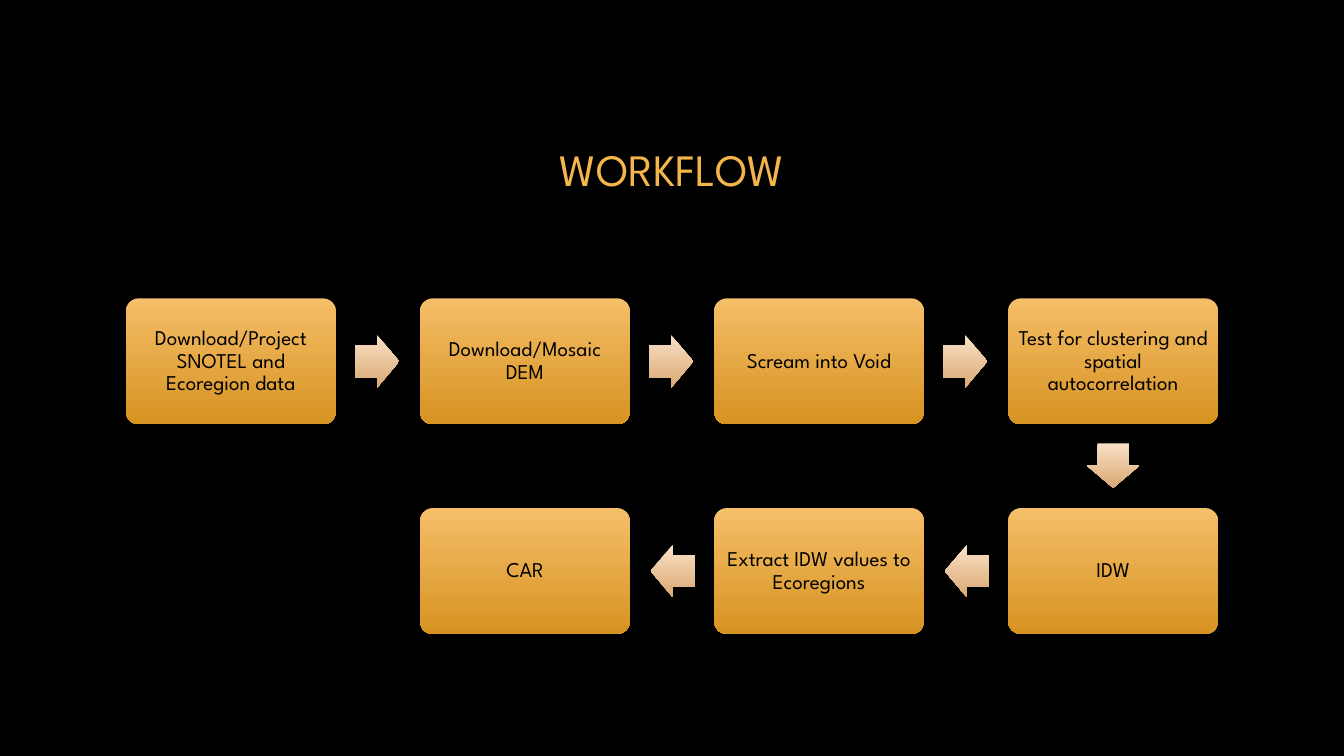
import pptx
import pptx.util
import pptx.dml.color
import pptx.enum.shapes
import pptx.enum.text

Inches = pptx.util.Inches
RGBColor = pptx.dml.color.RGBColor
Shapes = pptx.enum.shapes.MSO_SHAPE

FONT = "League Spartan"
BLACK = RGBColor(0x00, 0x00, 0x00)
GOLD = RGBColor(0xF4, 0xB5, 0x4B)
BOX_COLORS = RGBColor(0xF5, 0xBE, 0x69), RGBColor(0xD7, 0x93, 0x21)
ARROW_COLORS = RGBColor(0xFA, 0xE1, 0xC6), RGBColor(0xD9, 0xA8, 0x73)

BOX_WIDTH, BOX_HEIGHT = 2.08, 1.25
ARROW_WIDTH, ARROW_HEIGHT = 0.44, 0.52
ARROW_REACH = 0.41  # from the edge of a box to the middle of its arrow
LEFT, TOP = 1.25, 2.96
COLUMN_STEP, ROW_STEP = 8.75 / 3, 2.08

# Text, column, row, and direction (x, y) to the next step
STEPS = [
    ("Download/Project SNOTEL and Ecoregion data", 0, 0, (1, 0)),
    ("Download/Mosaic DEM", 1, 0, (1, 0)),
    ("Scream into Void", 2, 0, (1, 0)),
    ("Test for clustering and spatial autocorrelation", 3, 0, (0, 1)),
    ("IDW", 3, 1, (-1, 0)),
    ("Extract IDW values to Ecoregions", 2, 1, (-1, 0)),
    ("CAR", 1, 1, None),
]
ROTATIONS = {(1, 0): 0, (0, 1): 90, (-1, 0): 180}


def add_gradient_shape(kind, center_x, center_y, width, height, colors):
    shape = slide.shapes.add_shape(
        kind, Inches(center_x - width / 2), Inches(center_y - height / 2),
        Inches(width), Inches(height))
    shape.shadow.inherit = False
    shape.line.fill.background()
    shape.fill.gradient()
    shape.fill.gradient_angle = 270
    for stop, color in zip(shape.fill.gradient_stops, colors):
        stop.color.rgb = color
    # Keep the light end on top when the shape is turned
    shape._element.spPr.find(pptx.oxml.ns.qn("a:gradFill")).set("rotWithShape", "0")
    return shape


def format_text(frame, size, color):
    frame.word_wrap = True
    frame.vertical_anchor = pptx.enum.text.MSO_ANCHOR.MIDDLE
    para = frame.paragraphs[0]
    para.alignment = pptx.enum.text.PP_ALIGN.CENTER
    para.line_spacing = 0.9
    font = para.runs[0].font
    font.name = FONT
    font.size = pptx.util.Pt(size)
    font.color.rgb = color


# Deck and page
deck = pptx.Presentation()
deck.slide_width, deck.slide_height = Inches(13.33), Inches(7.5)
slide = deck.slides.add_slide(deck.slide_layouts.get_by_name("Title Only"))
slide.background.fill.solid()
slide.background.fill.fore_color.rgb = BLACK

# Title
title = slide.shapes.title
title.left, title.top = Inches(1.25), Inches(0.67)
title.width, title.height = Inches(10.83), Inches(2.08)
title.text_frame.text = "WORKFLOW"
format_text(title.text_frame, 32, GOLD)

# Steps, each followed by an arrow to the next one
for text, column, row, direction in STEPS:
    center_x = LEFT + column * COLUMN_STEP + BOX_WIDTH / 2
    center_y = TOP + row * ROW_STEP + BOX_HEIGHT / 2
    box = add_gradient_shape(Shapes.ROUNDED_RECTANGLE, center_x, center_y,
                             BOX_WIDTH, BOX_HEIGHT, BOX_COLORS)
    box.adjustments[0] = 0.1
    frame = box.text_frame
    frame.margin_left = frame.margin_right = Inches(0.06)
    frame.margin_top = frame.margin_bottom = Inches(0.06)
    frame.text = text
    format_text(frame, 15, BLACK)

    if direction:
        step_x, step_y = direction
        arrow = add_gradient_shape(
            Shapes.RIGHT_ARROW,
            center_x + step_x * (BOX_WIDTH / 2 + ARROW_REACH),
            center_y + step_y * (BOX_HEIGHT / 2 + ARROW_REACH),
            ARROW_WIDTH, ARROW_HEIGHT, ARROW_COLORS)
        arrow.adjustments[0] = 0.6
        arrow.adjustments[1] = 0.5
        arrow.rotation = ROTATIONS[direction]

deck.save("out.pptx")
